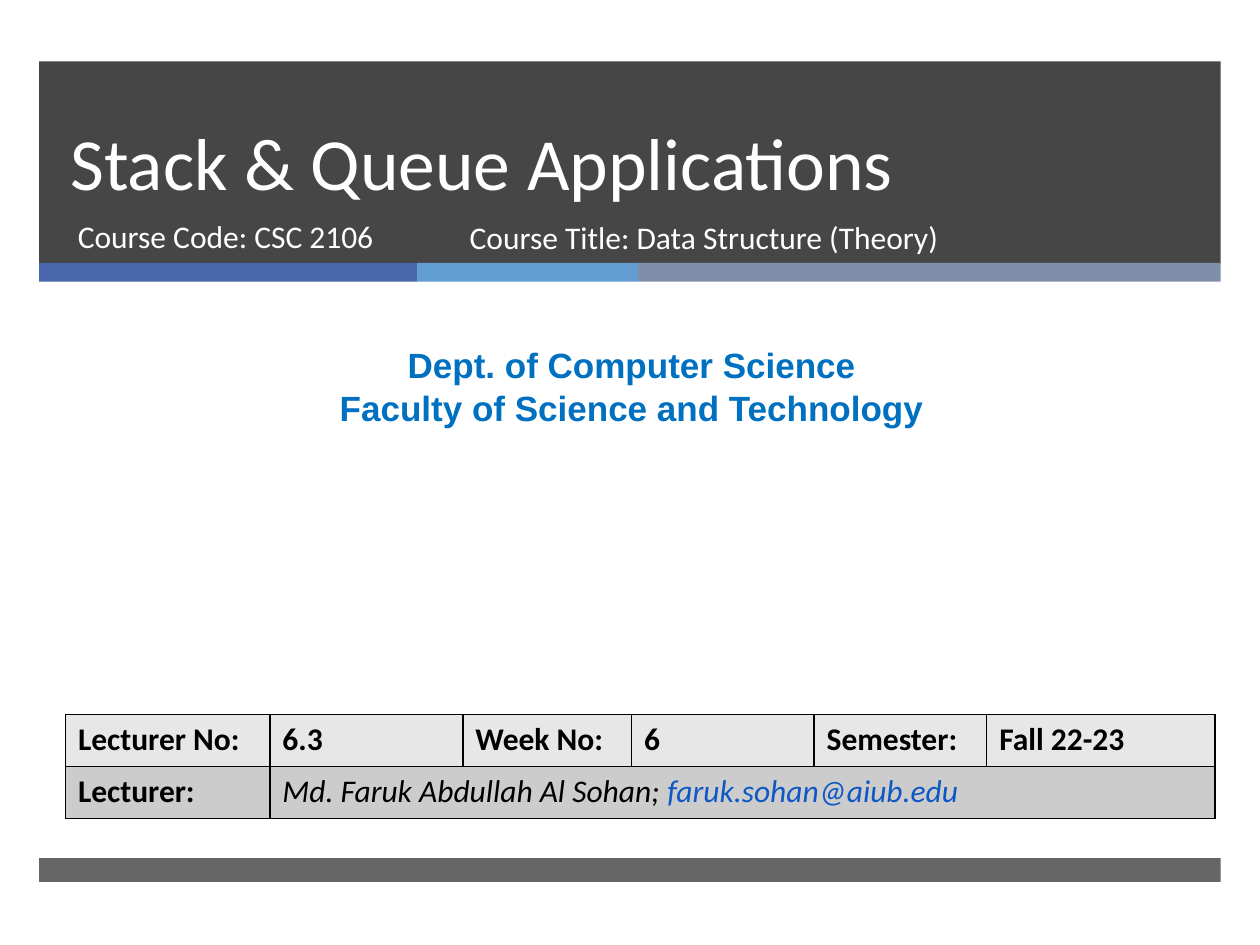
from lxml import etree
from pptx import Presentation
from pptx.dml.color import RGBColor
from pptx.enum.shapes import MSO_SHAPE
from pptx.enum.text import MSO_ANCHOR, PP_ALIGN
from pptx.oxml.ns import qn
from pptx.util import Cm, Pt

RECTANGLE = MSO_SHAPE.RECTANGLE
TOP, BOTTOM = MSO_ANCHOR.TOP, MSO_ANCHOR.BOTTOM
LEFT, CENTER = PP_ALIGN.LEFT, PP_ALIGN.CENTER

COLORS = {
    "dark": "262626", "blue": "4A66AC", "sky": "629DD1", "slate": "7F8FA9",
    "white": "FFFFFF", "black": "000000", "department": "0070C0",
    "email": "0E58C4", "light row": "E7E7E7", "gray row": "CCCCCC",
}

TITLE = "Stack & Queue Applications"
COURSE_CODE = "Course Code: CSC 2106"
COURSE_TITLE = "Course Title: Data Structure (Theory)"
DEPARTMENT = ["Dept. of Computer Science", "Faculty of Science and Technology"]
LECTURE_ROW = ["Lecturer No:", "6.3", "Week No:", "6", "Semester:", "Fall 22-23"]
LECTURER_LABEL = "Lecturer:"
LECTURER = "Md. Faruk Abdullah Al Sohan; "
EMAIL = "faruk.sohan@aiub.edu"

BAND_LEFT, BAND_WIDTH = 0.79, 23.82
STRIPES = [("blue", 7.62), ("sky", 4.45), ("slate", 11.75)]
COLUMN_WIDTHS = [4.12, 3.89, 3.4, 3.68, 3.48, 4.6]
ROW_HEIGHT = 1.05


def rgb(name):
    return RGBColor.from_string(COLORS[name])


def add_band(slide, left, top, width, height, color, opacity=100):
    shape = slide.shapes.add_shape(RECTANGLE, Cm(left), Cm(top), Cm(width), Cm(height))
    shape.shadow.inherit = False
    shape.line.fill.background()
    shape.fill.solid()
    shape.fill.fore_color.rgb = rgb(color)
    if opacity < 100:
        color_element = shape.fill._xPr.find(qn("a:solidFill"))[0]
        etree.SubElement(color_element, qn("a:alpha"), val=str(opacity * 1000))


def write(paragraph, text, size=18, font="Calibri", color="black",
          bold=False, italic=False, align=LEFT):
    paragraph.alignment = align
    run = paragraph.add_run()
    run.text = text
    run.font.size = Pt(size)
    run.font.name = font
    run.font.color.rgb = rgb(color)
    run.font.bold = bold
    run.font.italic = italic


def add_text(slide, left, top, width, height, lines, anchor=TOP, spacing=None, **style):
    box = slide.shapes.add_textbox(Cm(left), Cm(top), Cm(width), Cm(height))
    frame = box.text_frame
    frame.word_wrap = True
    frame.vertical_anchor = anchor
    for index, line in enumerate(lines):
        paragraph = frame.add_paragraph() if index else frame.paragraphs[0]
        if spacing:
            paragraph.line_spacing = Pt(spacing)
        write(paragraph, line, **style)


def format_cell(cell, fill):
    """Give the cell its fill and a thin black border on every side."""
    properties = cell._tc.get_or_add_tcPr()
    for side in ("a:lnL", "a:lnR", "a:lnT", "a:lnB"):
        line = etree.SubElement(properties, qn(side), w=str(Pt(1)))
        solid = etree.SubElement(line, qn("a:solidFill"))
        etree.SubElement(solid, qn("a:srgbClr"), val=COLORS["black"])
    cell.fill.solid()
    cell.fill.fore_color.rgb = rgb(fill)


def add_lecture_table(slide, left, top):
    columns = len(COLUMN_WIDTHS)
    table = slide.shapes.add_table(
        2, columns, Cm(left), Cm(top), Cm(sum(COLUMN_WIDTHS)), Cm(2 * ROW_HEIGHT)).table
    table.first_row = table.horz_banding = False
    for column, width in zip(table.columns, COLUMN_WIDTHS):
        column.width = Cm(width)
    for row, fill in zip(table.rows, ("light row", "gray row")):
        row.height = Cm(ROW_HEIGHT)
        for cell in row.cells:
            format_cell(cell, fill)
    table.cell(1, 1).merge(table.cell(1, columns - 1))

    for index, text in enumerate(LECTURE_ROW):
        write(table.cell(0, index).text_frame.paragraphs[0], text, bold=True)
    write(table.cell(1, 0).text_frame.paragraphs[0], LECTURER_LABEL, bold=True)
    lecturer = table.cell(1, 1).text_frame.paragraphs[0]
    write(lecturer, LECTURER, italic=True)
    write(lecturer, EMAIL, italic=True, color="email")


def main():
    presentation = Presentation()
    presentation.slide_width, presentation.slide_height = Cm(25.4), Cm(19.05)
    slide = presentation.slides.add_slide(presentation.slide_layouts[6])

    add_band(slide, BAND_LEFT, 1.24, BAND_WIDTH, 4.08, "dark", opacity=85)
    left = BAND_LEFT
    for color, width in STRIPES:
        add_band(slide, left, 5.3, width, 0.38, color)
        left += width
    add_band(slide, BAND_LEFT, 17.3, BAND_WIDTH, 0.48, "dark", opacity=70)

    add_text(slide, 1.17, 1.24, 21.69, 3.02, [TITLE], anchor=BOTTOM, spacing=46,
             size=42, color="white")
    add_text(slide, 1.32, 4.26, 7.75, 1.35, [COURSE_CODE], color="white")
    add_text(slide, 9.22, 4.27, 11.56, 1.35, [COURSE_TITLE], color="white")
    add_text(slide, 0.2, 6.81, 25.07, 1.96, DEPARTMENT, size=20, font="Arial",
             color="department", bold=True, align=CENTER)
    add_lecture_table(slide, 1.32, 14.4)

    presentation.save("out.pptx")


if __name__ == "__main__":
    main()
